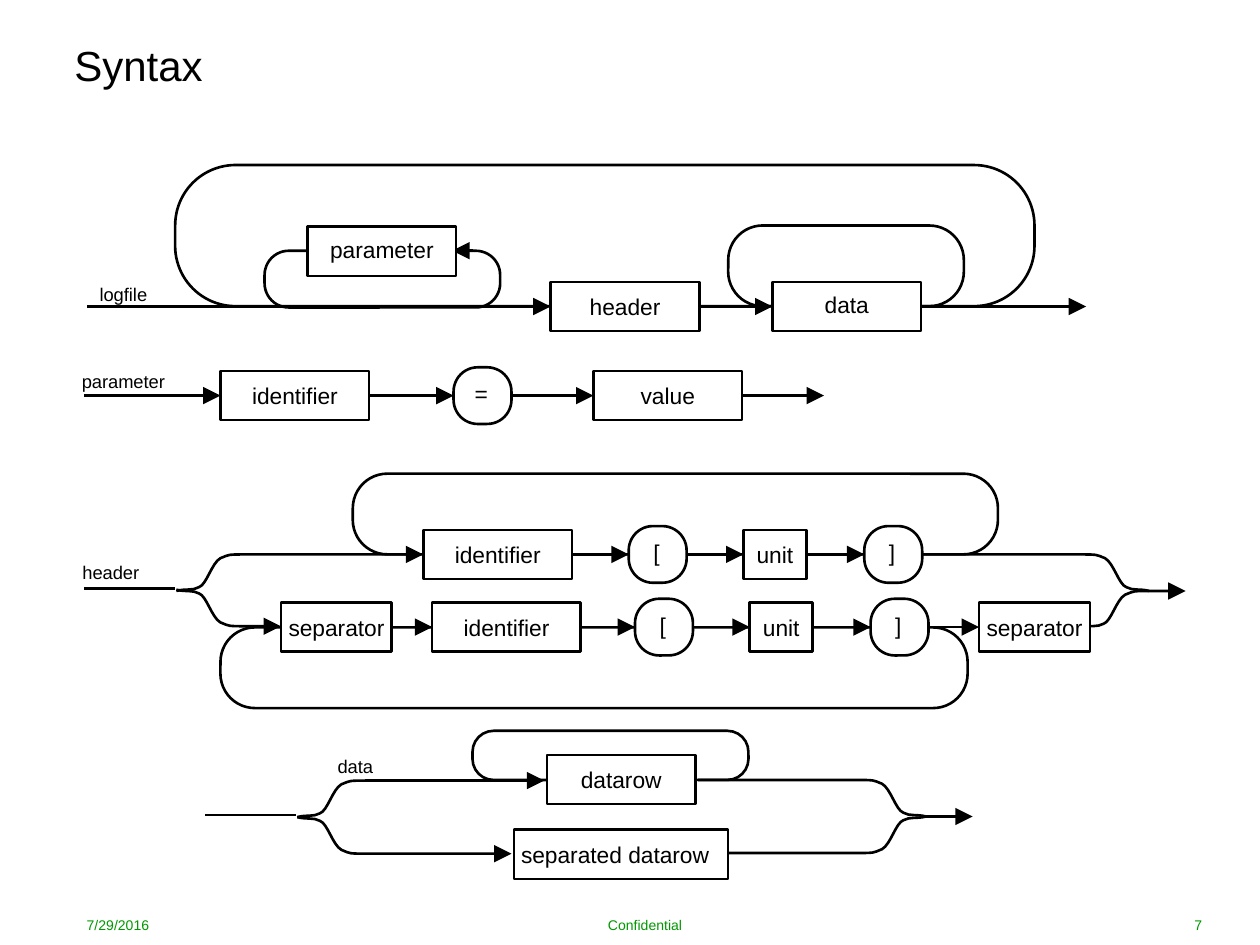
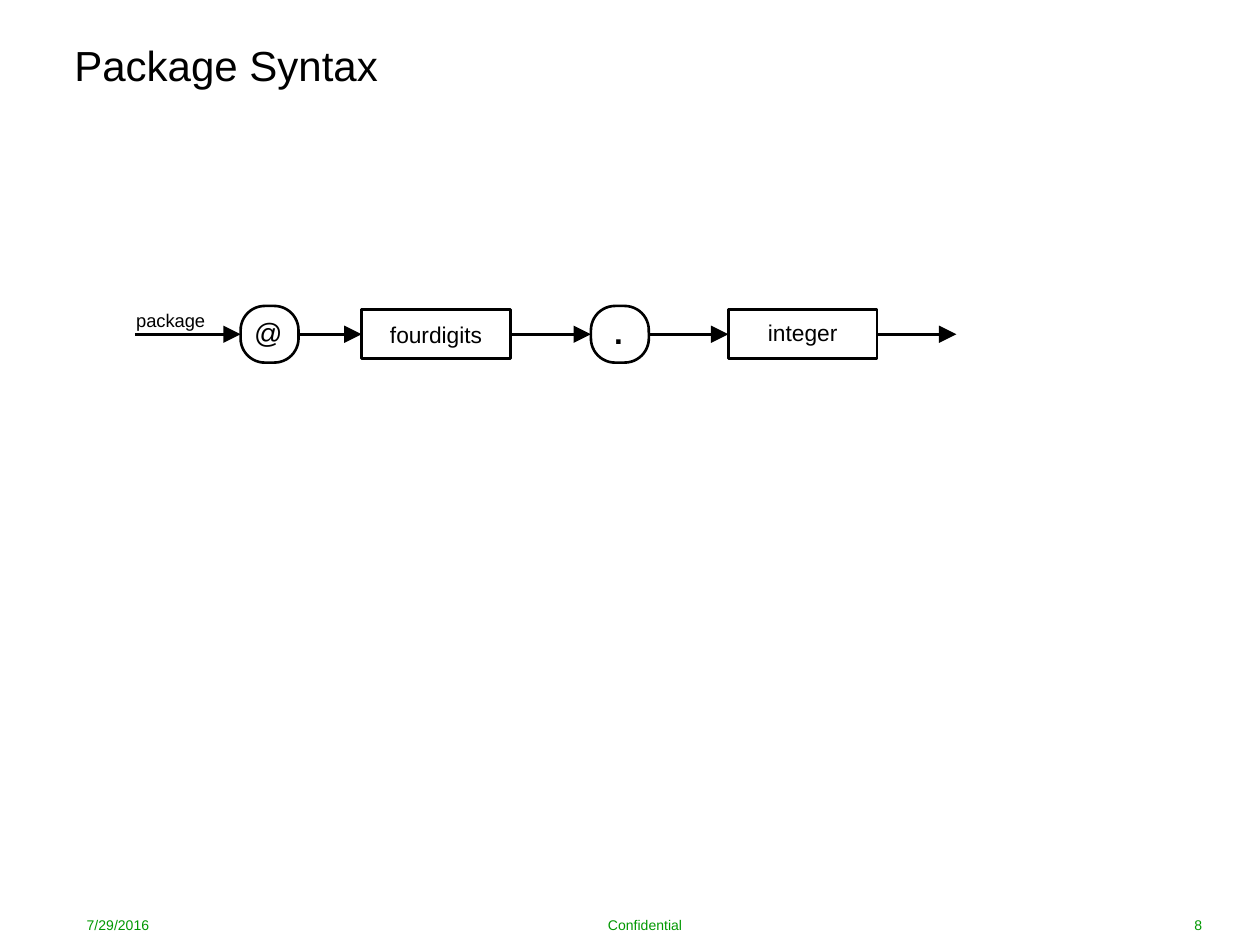
from dataclasses import dataclass

from lxml.etree import SubElement
from pptx import Presentation
from pptx.dml.color import RGBColor
from pptx.enum.shapes import MSO_CONNECTOR as CONN, MSO_SHAPE as SHAPE
from pptx.enum.text import MSO_ANCHOR as ANCHOR, MSO_AUTO_SIZE as AUTO, PP_ALIGN as ALIGN
from pptx.oxml.ns import qn
from pptx.util import Emu, Inches, Pt


@dataclass(frozen=True)
class Theme:
    """Colours, font, type sizes and line weights of the deck."""
    ink: RGBColor = RGBColor(0, 0, 0)
    paper: RGBColor = RGBColor(255, 255, 255)
    footer: RGBColor = RGBColor(0x00, 0x98, 0x00)
    font: str = "Arial"
    title_size: float = 24
    node_size: float = 13
    label_size: float = 10.5
    footer_size: float = 8
    line: float = 1.5
    rounding: float = 0.428


T = Theme()


@dataclass(frozen=True)
class Node:
    """A symbol on a rail: left column, text and look."""
    x: float
    text: str
    w: float = 11.8
    h: float = 3.9
    shape: SHAPE = SHAPE.RECTANGLE
    size: float = T.node_size
    bold: bool = False
    inset: float = 0
    lift: float = 0


COLS, ROWS = 100, 75
CELL = Inches(10) // COLS
BEND = [(0.7, 0.2), (1.3, 0), (1.8, 0.3), (2.4, 0.5), (2.8, 2.2), (3.5, 2.6),
        (4.3, 2.9), (3.8, 2.9), (6.2, 2.9)]


def grid(*cells):
    """Turn grid columns or rows into lengths."""
    return [Emu(round(c * CELL)) for c in cells]


def terminal(x, text, size=T.node_size, bold=False):
    """Describe a rounded terminal symbol."""
    return Node(x, text, 4.6, 4.5, SHAPE.ROUNDED_RECTANGLE, size, bold, 0.2, 0.3)


def write(tf, text, size, color=T.ink, align=ALIGN.CENTER, bold=False):
    """Add one formatted run to the first paragraph."""
    p = tf.paragraphs[0]
    p.alignment = align
    r = p.add_run()
    r.text = text
    r.font.name, r.font.size, r.font.bold = T.font, Pt(size), bold
    r.font.color.rgb = color


def no_insets(tf):
    """Clear the margins of a text frame."""
    tf.margin_left = tf.margin_right = tf.margin_top = tf.margin_bottom = 0


def stroke(shape, arrow=False):
    """Draw the outline, with an arrowhead at its end if asked."""
    shape.line.color.rgb = T.ink
    shape.line.width = Pt(T.line)
    if arrow:
        ln = shape._element.spPr.find(qn("a:ln"))
        SubElement(ln, qn("a:tailEnd"), type="triangle", w="lg", len="lg")


def rail(s, x1, x2, y, arrow=True):
    """Draw a horizontal line."""
    c = s.shapes.add_connector(CONN.STRAIGHT, *grid(x1, y, x2, y))
    stroke(c, arrow)
    SubElement(c._element.spPr, qn("a:effectLst"))


def loop(s, x, y, w, h):
    """Draw a rounded repeat path."""
    sp = s.shapes.add_shape(SHAPE.ROUNDED_RECTANGLE, *grid(x, y, w, h))
    sp.adjustments[0] = T.rounding
    sp.shadow.inherit = False
    sp.fill.background()
    stroke(sp)


def smooth(sp):
    """Turn each three straight segments of a freeform into one cubic curve."""
    segments = list(sp._element.iter(qn("a:lnTo")))
    track = segments[0].getparent()
    for i in range(0, len(segments), 3):
        curve = SubElement(track, qn("a:cubicBezTo"))
        for segment in segments[i:i + 3]:
            curve.append(segment[0])
            track.remove(segment)


def branch(s, x, y, end, side, arrow=False):
    """Draw a bent path from a fork to an end column, up (-1) or down (1)."""
    way = 1 if end > x else -1
    points = [(x + way * dx, y + side * dy) for dx, dy in BEND]
    last_x, last_y = points[-1]
    points += [(last_x + (end - last_x) * n / 3, last_y) for n in (1, 2, 3)]
    fb = s.shapes.build_freeform(*grid(x, y))
    fb.add_line_segments([grid(*point) for point in points], close=False)
    sp = fb.convert_to_shape()
    smooth(sp)
    sp.shadow.inherit = False
    sp.fill.background()
    stroke(sp, arrow)


def symbol(s, node, y):
    """Draw a node centred on a rail."""
    sp = s.shapes.add_shape(node.shape, *grid(node.x, y - node.h / 2, node.w, node.h))
    if node.shape == SHAPE.ROUNDED_RECTANGLE:
        sp.adjustments[0] = T.rounding
    sp.shadow.inherit = False
    sp.fill.solid()
    sp.fill.fore_color.rgb = T.paper
    stroke(sp)
    tf = sp.text_frame
    no_insets(tf)
    tf.margin_right, tf.margin_bottom = grid(node.inset, node.lift)
    tf.word_wrap = False
    tf.vertical_anchor = ANCHOR.MIDDLE
    write(tf, node.text, node.size, bold=node.bold)


def chain(s, y, nodes, start=None, end=None):
    """Draw nodes along a rail, with arrows between neighbours."""
    exits = [start] + [n.x + n.w for n in nodes]
    entries = [n.x for n in nodes] + [end]
    for x1, x2 in zip(exits, entries):
        if x1 is not None and x2 is not None:
            rail(s, x1, x2, y)
    for node in nodes:
        symbol(s, node, y)


def label(s, center, y, text):
    """Name a rule above its rail."""
    tf = s.shapes.add_textbox(*grid(center - 4, y, 8, 1.4)).text_frame
    no_insets(tf)
    tf.word_wrap = False
    write(tf, text, T.label_size)


def new_slide(prs, title, number):
    """Add a slide with its title and footer."""
    s = prs.slides.add_slide(prs.slide_layouts[5])
    sp = s.shapes.title
    sp.left, sp.top, sp.width, sp.height = grid(5.9, 2, 70.9, 6.3)
    tf = sp.text_frame
    no_insets(tf)
    tf.auto_size = AUTO.NONE
    tf.vertical_anchor = ANCHOR.MIDDLE
    write(tf, title, T.title_size, align=ALIGN.LEFT)
    for x, w, text, align in ((5.9, 15.7, "7/29/2016", ALIGN.LEFT),
                              (25.6, 51.2, "Confidential", ALIGN.CENTER),
                              (80.7, 15.7, number, ALIGN.RIGHT)):
        tf = s.shapes.add_textbox(*grid(x, 72.4, w, 2)).text_frame
        tf.word_wrap = True
        tf.vertical_anchor = ANCHOR.MIDDLE
        write(tf, text, T.footer_size, T.footer, align)
    return s


def logfile_rule(s):
    """Draw the logfile rule."""
    for area in ((13.9, 13.1, 68.2, 11.2), (57.8, 17.9, 18.7, 6.4), (21, 19.9, 18.7, 4.5)):
        loop(s, *area)
    rail(s, 37.5, 35.9, 19.9)
    symbol(s, Node(24.4, "parameter", lift=0.3), 19.95)
    chain(s, 24.33, [Node(43.7, "header"), Node(61.3, "data", lift=0.3)], 6.9, 86.2)
    label(s, 9.8, 22.5, "logfile")


def parameter_rule(s):
    """Draw the parameter rule."""
    chain(s, 31.4, [Node(17.5, "identifier"), terminal(36, "="), Node(47.1, "value")],
          6.7, 65.4)
    label(s, 9.8, 29.4, "parameter")


def header_rule(s):
    """Draw the header rule."""
    loop(s, 28, 37.6, 51.2, 6.4)
    loop(s, 17.5, 49.8, 59.3, 6.4)
    rail(s, 6.7, 13.9, 46.7, arrow=False)
    branch(s, 14, 46.9, 33.6, -1, arrow=True)
    branch(s, 14, 46.8, 22.3, 1, arrow=True)
    branch(s, 91.2, 46.9, 73.1, -1)
    branch(s, 85.8, 49.8, 94.1, -1, arrow=True)
    columns = [Node(33.6, "identifier"), terminal(49.9, "["), Node(59, "unit", 5),
               terminal(68.6, "]")]
    chain(s, 44, columns)
    separated = [Node(22.3, "separator", 8.8), Node(34.3, "identifier"),
                 terminal(50.4, "["), Node(59.5, "unit", 5), terminal(69.1, "]"),
                 Node(77.7, "separator", 8.8)]
    chain(s, 49.77, separated)
    label(s, 8.8, 44.55, "header")


def data_rule(s):
    """Draw the data rule."""
    loop(s, 37.5, 58, 21.9, 3.9)
    rail(s, 16.3, 23.5, 64.7, arrow=False)
    for side, end in ((-1, 43.2), (1, 40.6)):
        branch(s, 23.6, 64.85, end, side, arrow=True)
        branch(s, 73.5, 64.8, 55.4, side)
    rail(s, 73.2, 77.2, 64.8)
    symbol(s, Node(43.4, "datarow"), 61.87)
    symbol(s, Node(40.8, "separated datarow", 17, inset=1), 67.8)
    label(s, 28.2, 59.9, "data")


def package_rule(s):
    """Draw the package rule."""
    chain(s, 26.53, [terminal(19.1, "@", 16), Node(28.7, "fourdigits"),
                     terminal(46.9, ".", 18, True), Node(57.8, "integer", lift=0.3)],
          10.7, 75.9)
    label(s, 13.55, 24.55, "package")


def main():
    """Build and save the deck."""
    prs = Presentation()
    prs.slide_width, prs.slide_height = grid(COLS, ROWS)
    s = new_slide(prs, "Syntax", "7")
    for rule in (logfile_rule, parameter_rule, header_rule, data_rule):
        rule(s)
    package_rule(new_slide(prs, "Package Syntax", "8"))
    prs.save("out.pptx")


if __name__ == "__main__":
    main()
